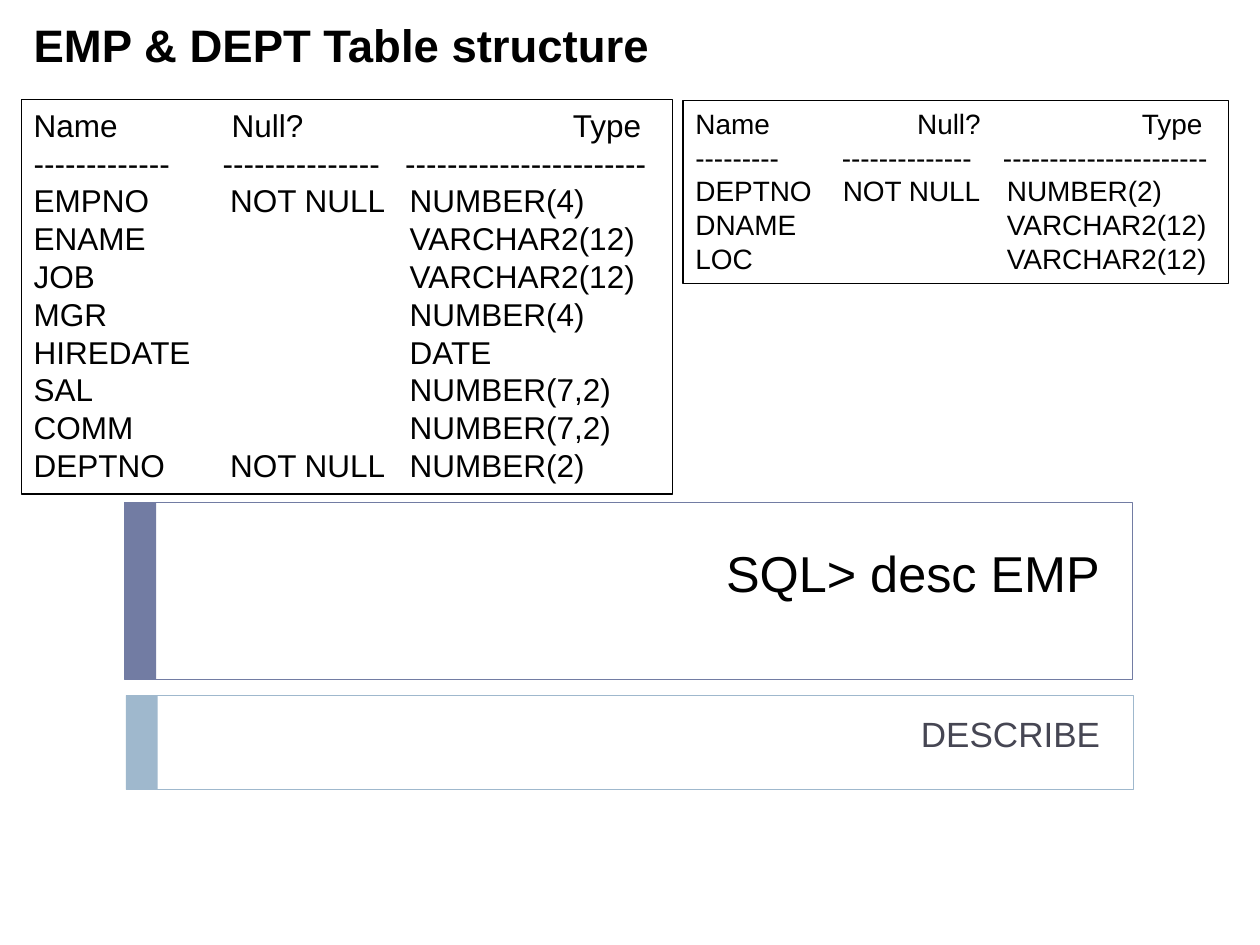
"""Build a slide that shows the structure of the EMP and DEPT tables."""

from pptx import Presentation
from pptx.dml.color import RGBColor
from pptx.enum.shapes import MSO_SHAPE
from pptx.enum.text import MSO_ANCHOR, MSO_AUTO_SIZE, PP_ALIGN
from pptx.oxml.ns import qn
from pptx.util import Cm, Pt
from lxml.etree import SubElement


def add_rectangle(left, top, width, height, fill=None, line=None, weight=0.5):
    box = page.shapes.add_shape(
        MSO_SHAPE.RECTANGLE, Cm(left), Cm(top), Cm(width), Cm(height)
    )
    box.shadow.inherit = False
    if fill:
        box.fill.solid()
        box.fill.fore_color.rgb = RGBColor.from_string(fill)
    else:
        box.fill.background()
    if line:
        box.line.color.rgb = RGBColor.from_string(line)
        box.line.width = Pt(weight)
    else:
        box.line.fill.background()
    return box


def format_text(paragraph, size, color, align=PP_ALIGN.LEFT, bold=False):
    paragraph.alignment = align
    for span in paragraph.runs:
        span.font.name = "Arial"
        span.font.size = Pt(size)
        span.font.bold = bold
        span.font.color.rgb = RGBColor.from_string(color)


deck = Presentation()
deck.slide_width, deck.slide_height = Cm(25.4), Cm(19.05)
page = deck.slides.add_slide(deck.slide_layouts[5])

for left, top, height, color in [(2.51, 10.13, 3.56, "727CA3"), (2.54, 14.02, 1.9, "9FB8CD")]:
    add_rectangle(left, top, 20.32, height, line=color)
    add_rectangle(left, top, 0.64, height, fill=color)

title = page.shapes.title
title.left, title.top, title.width, title.height = Cm(3.38), Cm(10.8), Cm(19.05), Cm(2.74)
subtitle = page.shapes.add_textbox(Cm(3.38), Cm(14.22), Cm(19.05), Cm(1.47))
heading = page.shapes.add_textbox(Cm(0.43), Cm(0), Cm(16.08), Cm(1.78))

labels = [
    (title, "SQL> desc EMP", 28.8, "000000", PP_ALIGN.RIGHT, False, MSO_ANCHOR.TOP, 0.13),
    (subtitle, "DESCRIBE", 20, "464653", PP_ALIGN.RIGHT, False, MSO_ANCHOR.TOP, 0.14),
    (heading, "EMP & DEPT Table structure", 26, "000000", PP_ALIGN.LEFT, True,
     MSO_ANCHOR.MIDDLE, 0.13),
]
for box, text, size, color, align, bold, anchor, margin in labels:
    frame = box.text_frame
    frame.text = text
    frame.word_wrap = True
    frame.auto_size = MSO_AUTO_SIZE.NONE
    frame.vertical_anchor = anchor
    frame.margin_top = Cm(margin)
    format_text(frame.paragraphs[0], size, color, align, bold)

employee_rows = [
    "Name\tNull?\tType",
    "-------------\t---------------\t-----------------------",
    "EMPNO\tNOT NULL\tNUMBER(4)",
    "ENAME\t\tVARCHAR2(12)",
    "JOB\t\tVARCHAR2(12)",
    "MGR\t\tNUMBER(4)",
    "HIREDATE\t\tDATE",
    "SAL\t\tNUMBER(7,2)",
    "COMM\t\tNUMBER(7,2)",
    "DEPTNO\tNOT NULL\tNUMBER(2)",
]
department_rows = [
    "Name\tNull?\tType",
    "---------\t--------------\t----------------------",
    "DEPTNO\tNOT NULL\tNUMBER(2)",
    "DNAME\t\tVARCHAR2(12)",
    "LOC\t\tVARCHAR2(12)",
]
listings = [
    ((0.43, 2.01, 13.13, 7.95), employee_rows, 18, (3.99, 10.87), (3.81, 7.49), (3.96, 7.58)),
    ((13.77, 2.03, 11, 3.68), department_rows, 16, (4.47, 9), (2.95, 6.2), (2.97, 6.28)),
]
for place, rows, size, header_stops, rule_stops, column_stops in listings:
    box = add_rectangle(*place, line="000000", weight=0.75)
    frame = box.text_frame
    frame.text = "\n".join(rows)
    frame.word_wrap = True
    frame.auto_size = MSO_AUTO_SIZE.SHAPE_TO_FIT_TEXT
    frame.vertical_anchor = MSO_ANCHOR.TOP
    for index, paragraph in enumerate(frame.paragraphs):
        stops = (header_stops, rule_stops, column_stops)[min(index, 2)]
        tabs = SubElement(paragraph._p.get_or_add_pPr(), qn("a:tabLst"))
        for stop in stops:
            SubElement(tabs, qn("a:tab"), pos=str(int(Cm(stop))), algn="l")
        format_text(paragraph, size, "000000")

deck.save("out.pptx")
